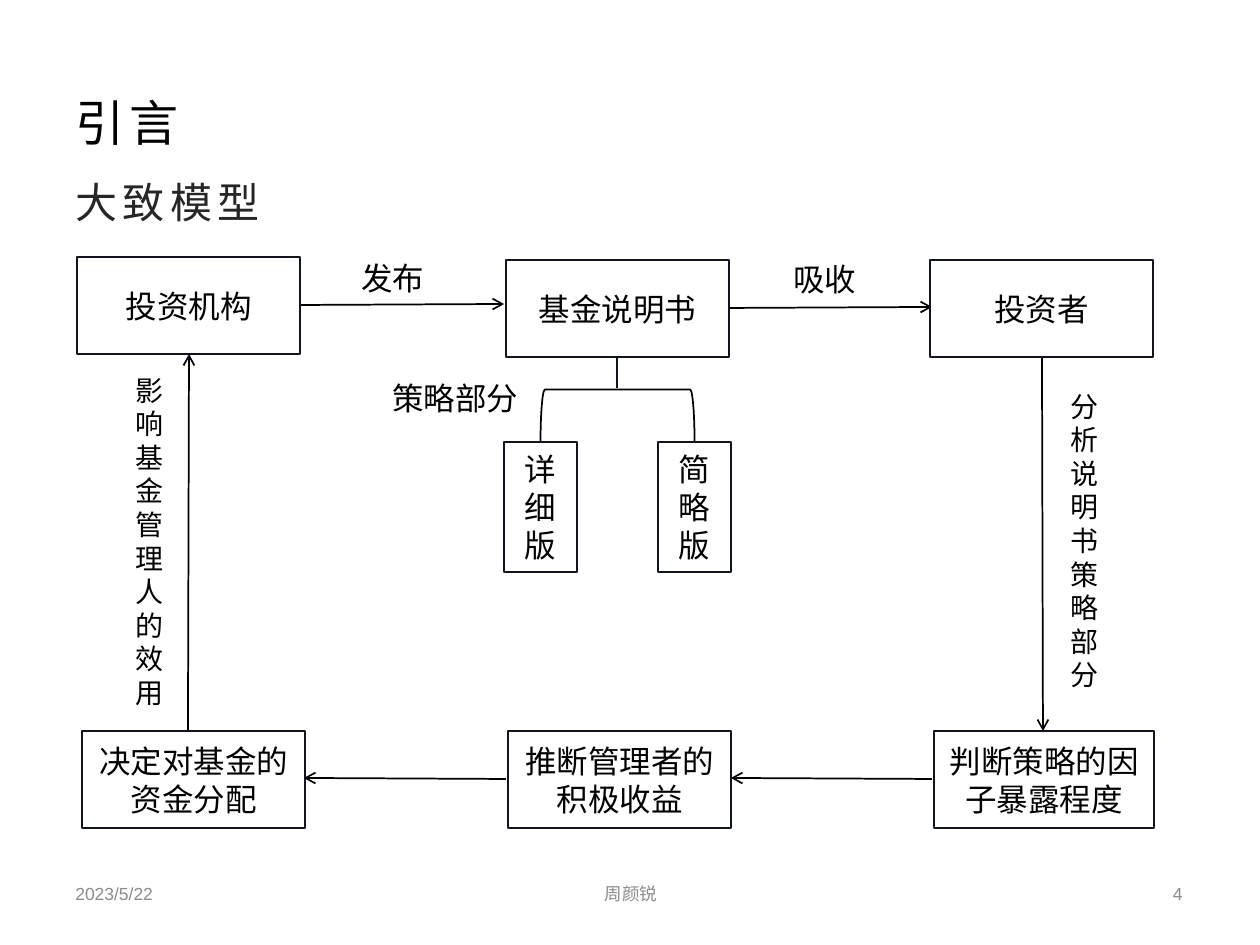
"""Build the introduction slide with the fund strategy model flowchart."""
import lxml.etree
import pptx
import pptx.dml.color
import pptx.enum.shapes
import pptx.enum.text
import pptx.oxml.ns
import pptx.util

PIXEL = 914400 / 126
BLACK, GRAY, NAVY, WHITE = "000000", "8C8C8C", "0F1423", "FFFFFF"
ALIGN = pptx.enum.text.PP_ALIGN
ANCHOR = pptx.enum.text.MSO_ANCHOR
AUTO_SIZE = pptx.enum.text.MSO_AUTO_SIZE
SHAPE = pptx.enum.shapes.MSO_SHAPE

TITLE = ("引言", (63, 73, 1134, 97))
SUBTITLE = ("大致模型", (63, 158, 1133, 87))
FOOTERS = [
    ("2023/5/22", (63, 871, 278, 44), ALIGN.LEFT),
    ("周颜锐", (426, 871, 410, 44), ALIGN.CENTER),
    ("4", (917, 871, 278, 44), ALIGN.RIGHT),
]
STEPS = [
    ("投资机构", (77, 257, 223, 97)),
    ("基金说明书", (506, 260, 223, 97)),
    ("投资者", (930, 260, 223, 97)),
    ("判断策略的因子暴露程度", (934, 731, 220, 97)),
    ("推断管理者的积极收益", (508, 731, 223, 97)),
    ("决定对基金的资金分配", (82, 731, 223, 97)),
]
VERSIONS = [("详细版", (504, 442, 73, 130)), ("简略版", (658, 442, 73, 130))]
LABELS = [
    ("发布", (349, 253, 107, 50), 18),
    ("吸收", (781, 254, 96, 50), 18),
    ("策略部分", (380, 373, 160, 50), 18),
    ("影响基金管理人的效用", (123, 367, 54, 352), 16),
    ("分析说明书策略部分", (1058, 383, 54, 318), 16),
]
ARROWS = [
    (300, 305, 504, 304),
    (729, 308, 932, 307),
    (1042, 357, 1043, 731),
    (932, 779, 731, 778),
    (506, 779, 304, 778),
    (188, 731, 189, 354),
]
BRACKET = (591, 339, 53, 154)
STEM = (617, 357, 617, 388)


def scale(lengths):
    return [round(length * PIXEL) for length in lengths]


def color(value):
    return pptx.dml.color.RGBColor.from_string(value)


def add_element(parent, name, **attributes):
    lxml.etree.SubElement(parent, pptx.oxml.ns.qn(name), attributes)


def write(shape, text, size=18, fill=BLACK, align=ALIGN.LEFT, anchor=ANCHOR.TOP,
          spacing=None, grow=False):
    frame = shape.text_frame
    frame.word_wrap = True
    frame.auto_size = AUTO_SIZE.SHAPE_TO_FIT_TEXT if grow else AUTO_SIZE.NONE
    frame.vertical_anchor = anchor
    paragraph = frame.paragraphs[0]
    paragraph.alignment = align
    run = paragraph.add_run()
    run.text = text
    run.font.name = "Arial"
    run.font.size = pptx.util.Pt(size)
    run.font.color.rgb = color(fill)
    if spacing:
        run.font._element.set("spc", str(spacing * 100))
    return paragraph


def place(shape, box):
    shape.left, shape.top, shape.width, shape.height = scale(box)


def add_box(slide, text, box, width):
    shape = slide.shapes.add_shape(SHAPE.RECTANGLE, *scale(box))
    shape.shadow.inherit = False
    shape.fill.solid()
    shape.fill.fore_color.rgb = color(WHITE)
    shape.line.color.rgb = color(NAVY)
    shape.line.width = pptx.util.Pt(width)
    write(shape, text, align=ALIGN.CENTER, anchor=ANCHOR.MIDDLE)


def add_line(slide, ends, fill=BLACK, width=1, arrow=False):
    kind = pptx.enum.shapes.MSO_CONNECTOR.STRAIGHT
    connector = slide.shapes.add_connector(kind, *scale(ends))
    connector.line.color.rgb = color(fill)
    connector.line.width = pptx.util.Pt(width)
    properties = connector._element.spPr
    if arrow:
        add_element(properties.find(pptx.oxml.ns.qn("a:ln")), "a:tailEnd", type="arrow")
    add_element(properties, "a:effectLst")


def add_bracket(slide):
    bracket = slide.shapes.add_shape(SHAPE.LEFT_BRACKET, *scale(BRACKET))
    bracket.rotation = 90
    bracket.shadow.inherit = False
    bracket.fill.background()
    bracket.line.color.rgb = color(BLACK)
    bracket.line.width = pptx.util.Pt(1)


def add_headings(slide):
    title, body = slide.placeholders
    place(title, TITLE[1])
    write(title, TITLE[0], size=28, anchor=ANCHOR.MIDDLE, spacing=3)
    place(body, SUBTITLE[1])
    paragraph = write(body, SUBTITLE[0], size=24, fill="262626", spacing=3)
    properties = paragraph._p.get_or_add_pPr()
    properties.set("marL", "0")
    properties.set("indent", "0")
    add_element(properties, "a:buNone")
    paragraph.line_spacing = 1.25
    paragraph.space_before = pptx.util.Pt(0)
    paragraph.space_after = pptx.util.Pt(10)


def main():
    presentation = pptx.Presentation()
    presentation.slide_width, presentation.slide_height = scale((1260, 945))
    slide = presentation.slides.add_slide(presentation.slide_layouts[1])
    add_headings(slide)
    for text, box, align in FOOTERS:
        footer = slide.shapes.add_textbox(*scale(box))
        write(footer, text, size=10, fill=GRAY, align=align, anchor=ANCHOR.MIDDLE)
    for ends in ARROWS:
        add_line(slide, ends, arrow=True)
    for text, box in STEPS:
        add_box(slide, text, box, 1.5)
    add_bracket(slide)
    add_line(slide, STEM, fill=NAVY, width=1.25)
    for text, box in VERSIONS:
        add_box(slide, text, box, 1)
    for text, box, size in LABELS:
        write(slide.shapes.add_textbox(*scale(box)), text, size=size, grow=True)
    presentation.save("out.pptx")


if __name__ == "__main__":
    main()
